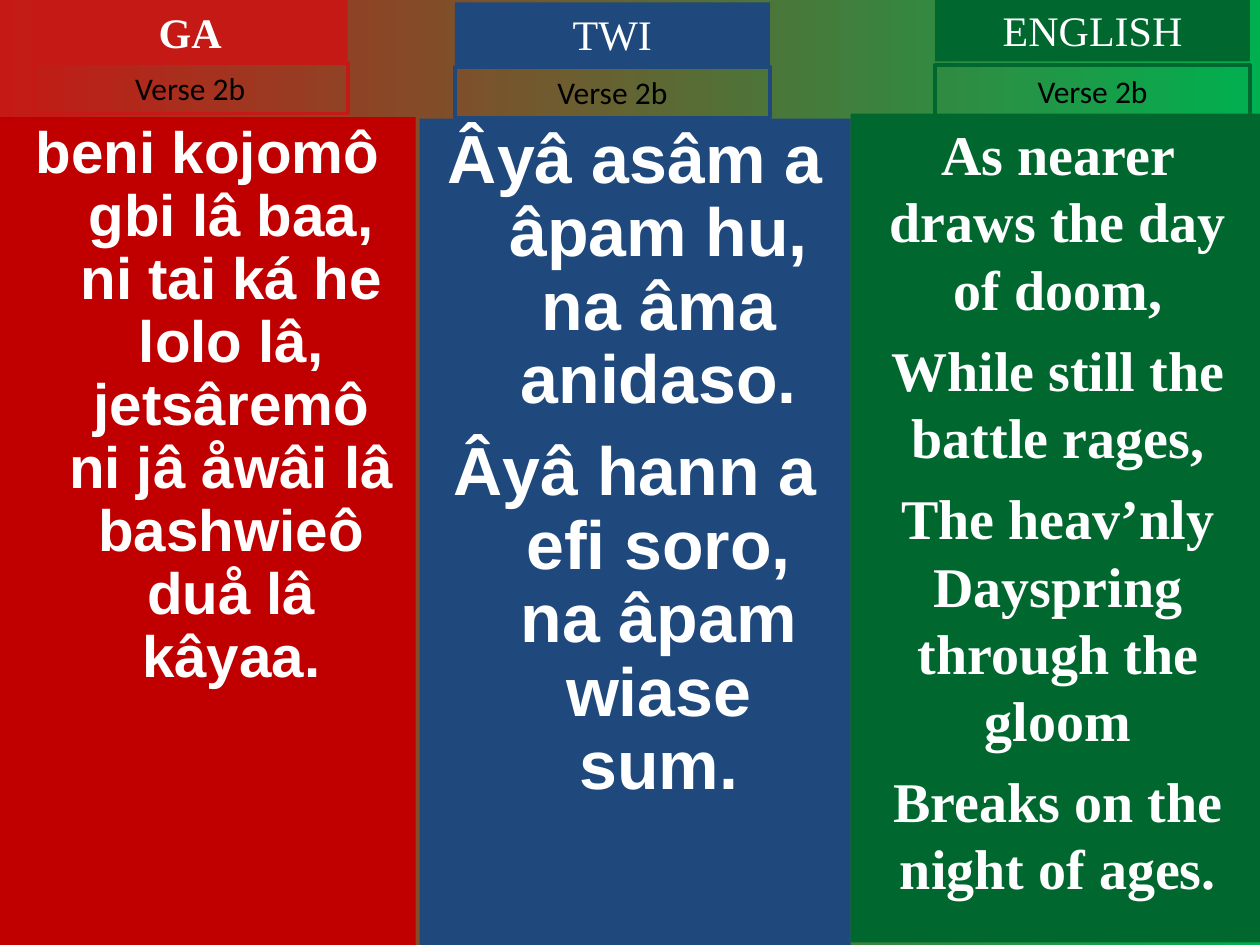
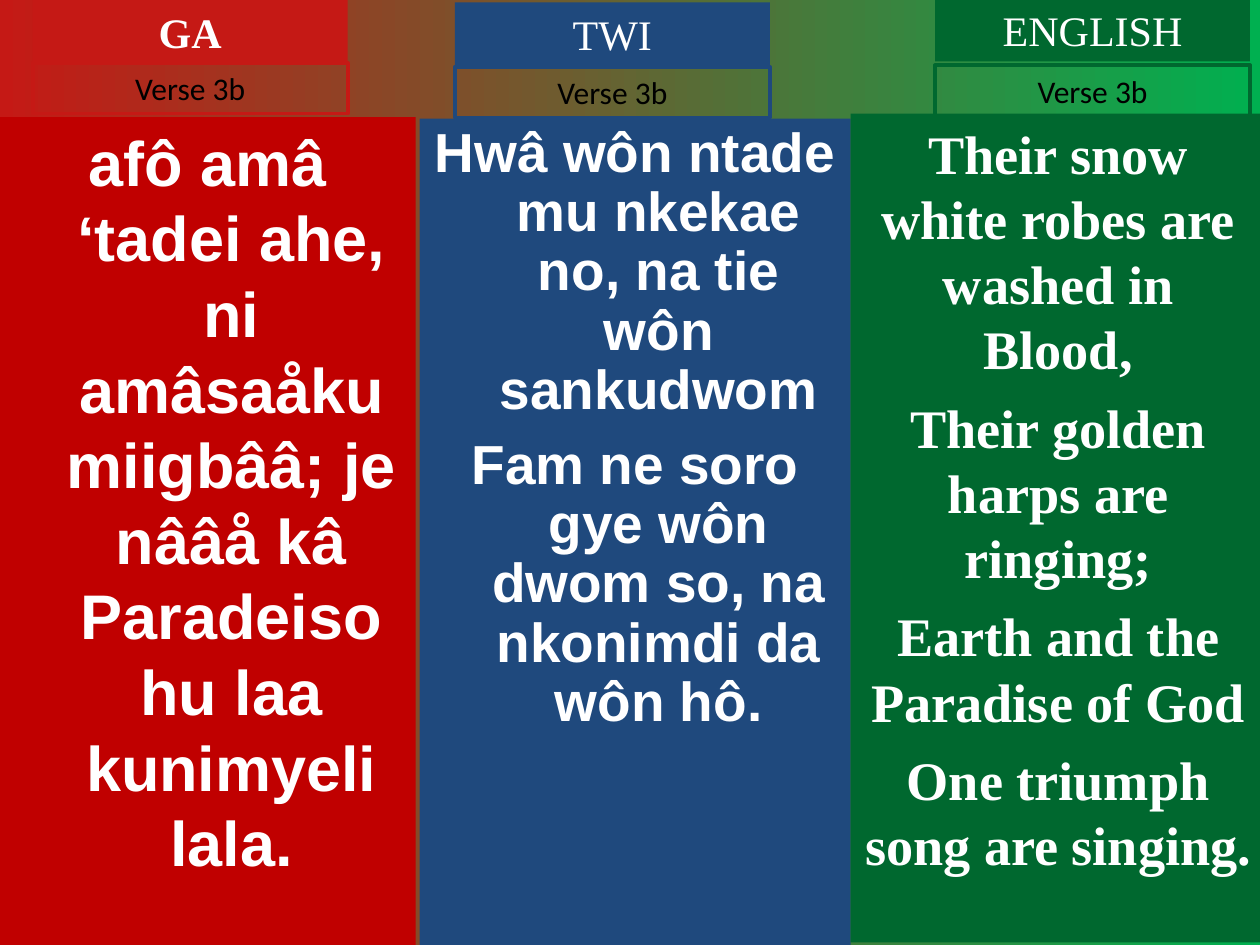
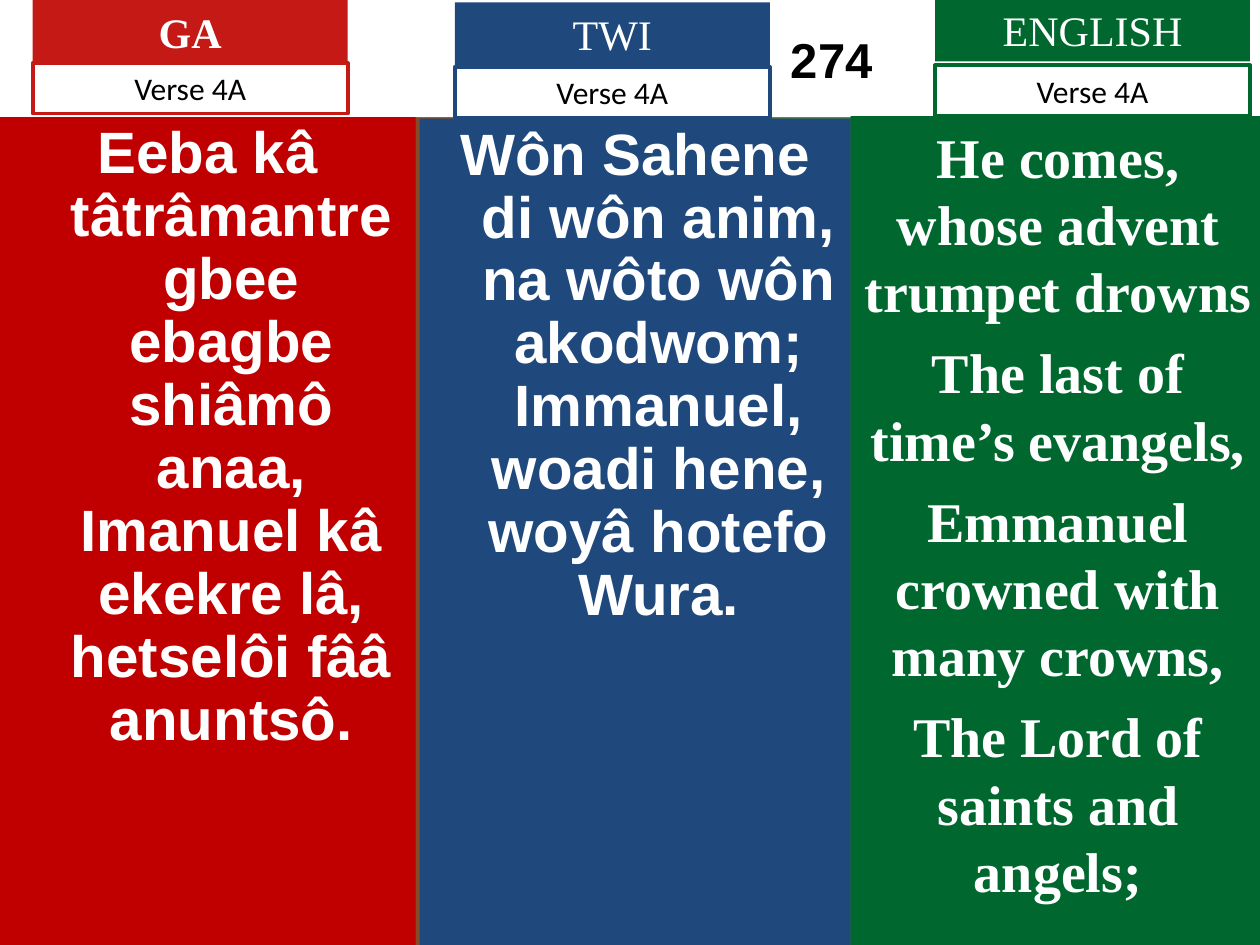
"""Build three hymn slides with a verse in Ga, Twi and English side by side."""
from dataclasses import dataclass

import pptx
import pptx.dml.color
import pptx.enum.shapes
import pptx.enum.text
import pptx.presentation
import pptx.shapes.base
import pptx.slide
import pptx.util
from pptx.util import Cm

RGB = pptx.dml.color.RGBColor
RED = RGB(0xC5, 0x19, 0x15)
DARK_RED = RGB(0xC0, 0x00, 0x00)
BLUE = RGB(0x1F, 0x49, 0x7D)
GREEN = RGB(0x00, 0x68, 0x2F)
BRIGHT = RGB(0x00, 0xB0, 0x50)
WHITE = RGB(0xFF, 0xFF, 0xFF)
BLACK = RGB(0x00, 0x00, 0x00)

SANS = "Arial"
SERIF = "Times New Roman"
LABEL = "Calibri"
WIDE = 25.4
HEAD_WIDE, HEAD_HIGH, TAG_HIGH = 6.35, 1.27, 1.02
TITLE_ONLY, BLANK = 5, 6


@dataclass(frozen=True)
class Column:
    """Place and look of one language, in centimetres."""

    name: str
    left: float
    top: float
    width: float
    height: float
    head_left: float
    head_top: float
    tag_top: float
    fill: RGB
    accent: RGB
    font: str
    hang: float = 0
    bold: bool = False


@dataclass(frozen=True)
class Text:
    """Lines of one language with their size and spacing in points."""

    lines: tuple[str, ...]
    size: float
    gap: float
    pitch: float = 1.0
    drop: float = 0


@dataclass(frozen=True)
class Verse:
    """One slide: its label, the text of each column and a hymn number."""

    label: str
    texts: tuple[Text, ...]
    number: str = ""


COLUMNS = (
    Column("GA", 0, 2.36, 8.38, 16.69, 0.66, 0, 1.27, DARK_RED, RED, SANS, 0.95, True),
    Column("TWI", 8.46, 2.39, 8.69, 16.66, 9.17, 0.05, 1.35, BLUE, BLUE, SANS, 0.95),
    Column("ENGLISH", 17.15, 2.29, 8.36, 16.71, 18.85, -0.03, 1.32, GREEN, GREEN, SERIF),
)

VERSES = (
    Verse("Verse 2b", (
        Text(("beni kojomô gbi lâ baa, ni tai ká he lolo lâ, jetsâremô ni jâ åwâi lâ "
              "bashwieô duå lâ kâyaa.",), 33.3, 9, 0.9),
        Text(("Âyâ asâm a âpam hu, na âma anidaso.",
              "Âyâ hann a efi soro, na âpam wiase sum."), 38.9, 10.5, 0.9),
        Text(("As nearer draws the day of doom,",
              "While still the battle rages,",
              "The heav’nly Dayspring through the gloom",
              "Breaks on the night of ages."), 32, 8),
    )),
    Verse("Verse 3b", (
        Text(("afô amâ ‘tadei ahe, ni amâsaåku miigbââ; je nââå kâ Paradeiso hu laa "
              "kunimyeli lala.",), 36, 9),
        Text(("Hwâ wôn ntade mu nkekae no, na tie wôn sankudwom",
              "Fam ne soro gye wôn dwom so, na nkonimdi da wôn hô."), 31.4, 8.5, 0.9),
        Text(("Their snow white robes are washed in Blood,",
              "Their golden harps are ringing;",
              "Earth and the Paradise of God",
              "One triumph song are singing."), 31, 7.7),
    )),
    Verse("Verse 4A", (
        Text(("Eeba kâ tâtrâmantre gbee ebagbe shiâmô anaa, Imanuel kâ ekekre lâ, "
              "hetselôi fââ anuntsô.",), 33.3, 9, 0.9),
        Text(("Wôn Sahene di wôn anim, na wôto wôn akodwom; Immanuel, woadi hene, "
              "woyâ hotefo Wura.",), 33.3, 9, 0.9),
        Text(("He comes, whose advent trumpet drowns",
              "The last of time’s evangels,",
              "Emmanuel crowned with many crowns,",
              "The Lord of saints and angels;"), 32, 8, drop=0.05),
    ), "274"),
)


def write(shape: pptx.shapes.base.BaseShape, *lines: str, font: str, size: float,
          color: RGB = WHITE, bold: bool = False, gap: float = 0, pitch: float = 1.0,
          left: float = 0, hang: float = 0, middle: bool = False) -> None:
    """Fill a shape with centred paragraphs in one format."""
    frame = shape.text_frame
    frame.word_wrap = True
    frame.auto_size = pptx.enum.text.MSO_AUTO_SIZE.NONE
    anchor = pptx.enum.text.MSO_ANCHOR
    frame.vertical_anchor = anchor.MIDDLE if middle else anchor.TOP
    for index, line in enumerate(lines):
        para = frame.add_paragraph() if index else frame.paragraphs[0]
        props = para._p.get_or_add_pPr()
        props.set("marL", str(Cm(left + hang)))
        props.set("indent", str(-Cm(hang)))
        para.alignment = pptx.enum.text.PP_ALIGN.CENTER
        para.line_spacing = pitch
        para.space_before = pptx.util.Pt(gap if index else 0)
        run = para.add_run()
        run.text = line
        run.font.name = font
        run.font.size = pptx.util.Pt(size)
        run.font.bold = bold
        run.font.color.rgb = color


def add_box(slide: pptx.slide.Slide, left: float, top: float, width: float, height: float,
            fill: RGB | None = None, line: RGB | None = None) -> pptx.shapes.base.BaseShape:
    """Add a flat rectangle with an optional fill and outline."""
    kind = pptx.enum.shapes.MSO_SHAPE.RECTANGLE
    box = slide.shapes.add_shape(kind, Cm(left), Cm(top), Cm(width), Cm(height))
    box.shadow.inherit = False
    if fill is None:
        box.fill.background()
    else:
        box.fill.solid()
        box.fill.fore_color.rgb = fill
    if line is None:
        box.line.fill.background()
    else:
        box.line.color.rgb = line
        box.line.width = pptx.util.Pt(2.25)
    return box


def draw_column(slide: pptx.slide.Slide, col: Column, text: Text, label: str) -> None:
    """Draw the text panel, language heading and verse label of a column."""
    panel = add_box(slide, col.left, col.top + text.drop, col.width, col.height, fill=col.fill)
    write(panel, *text.lines, font=col.font, size=text.size, bold=True,
          gap=text.gap, pitch=text.pitch, hang=col.hang)
    head = add_box(slide, col.head_left, col.head_top, HEAD_WIDE, HEAD_HIGH, fill=col.accent)
    write(head, col.name, font=SERIF, size=24, bold=col.bold)
    tag = add_box(slide, col.head_left, col.tag_top, HEAD_WIDE, TAG_HIGH, line=col.accent)
    write(tag, label, font=LABEL, size=18, color=BLACK)


def draw_title(slide: pptx.slide.Slide, number: str) -> None:
    """Set the hymn number in a white band between two headings."""
    title = slide.shapes.title
    title.left, title.top, title.width, title.height = Cm(0), Cm(0), Cm(WIDE), Cm(2.36)
    title.fill.solid()
    title.fill.fore_color.rgb = WHITE
    write(title, number, font=SANS, size=28, color=BLACK, bold=True, left=8.13, middle=True)


def paint_master(deck: pptx.presentation.Presentation) -> None:
    """Give every slide the red to green background."""
    fill = deck.slide_master.background.fill
    fill.gradient()
    fill.gradient_angle = 0
    for stop, color in zip(fill.gradient_stops, (RED, BRIGHT)):
        stop.color.rgb = color


def main() -> None:
    """Build and save the deck."""
    deck = pptx.Presentation()
    deck.slide_width, deck.slide_height = Cm(WIDE), Cm(19.05)
    paint_master(deck)
    for verse in VERSES:
        layout = deck.slide_layouts[TITLE_ONLY if verse.number else BLANK]
        slide = deck.slides.add_slide(layout)
        if verse.number:
            draw_title(slide, verse.number)
        for col, text in zip(COLUMNS, verse.texts):
            draw_column(slide, col, text, verse.label)
    deck.save("out.pptx")


if __name__ == "__main__":
    main()
